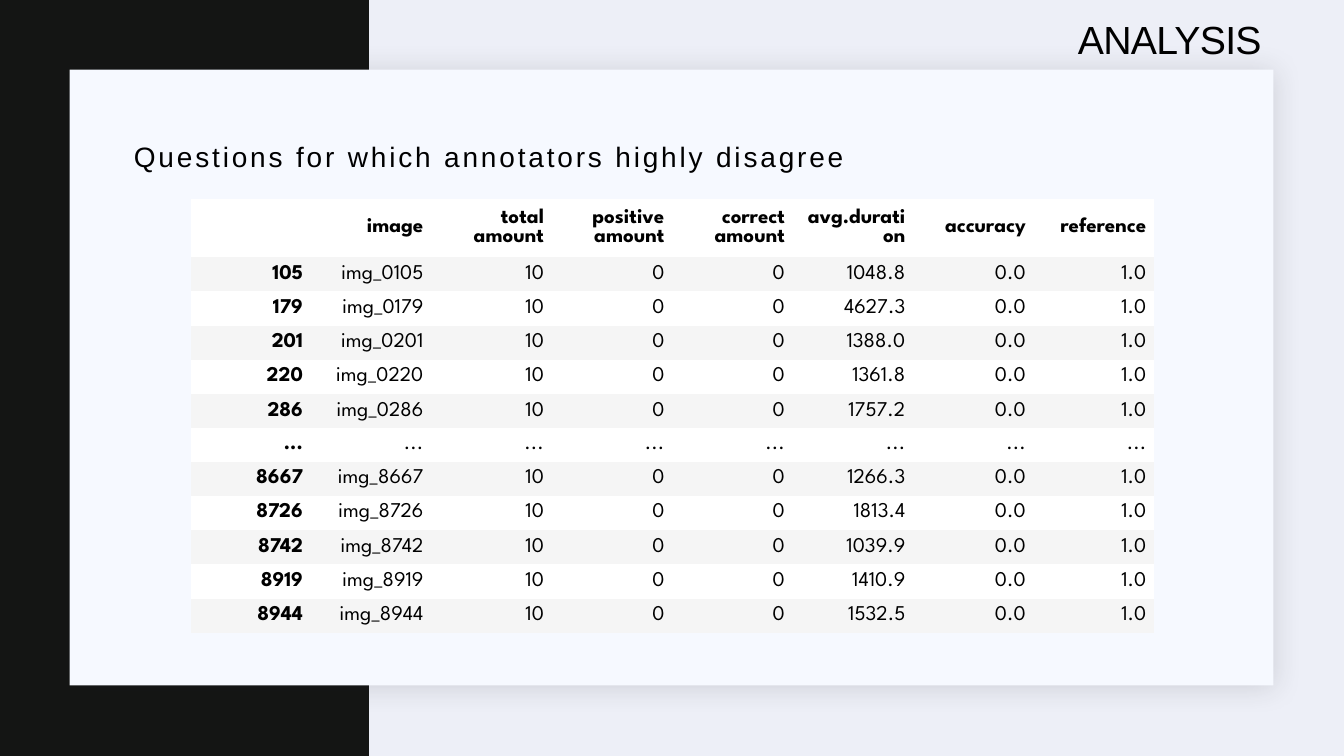
"""Build the analysis slide with its table of disputed questions."""
from typing import Any, NamedTuple

from lxml import etree
from pptx import Presentation
from pptx.dml.color import RGBColor
from pptx.enum.shapes import MSO_SHAPE
from pptx.enum.text import MSO_ANCHOR, PP_ALIGN
from pptx.oxml.ns import qn
from pptx.util import Inches, Pt

RECT = MSO_SHAPE.RECTANGLE
TOP, MIDDLE = MSO_ANCHOR.TOP, MSO_ANCHOR.MIDDLE
LEFT, RIGHT = PP_ALIGN.LEFT, PP_ALIGN.RIGHT
BLACK = RGBColor(0x00, 0x00, 0x00)
WHITE = RGBColor(0xFF, 0xFF, 0xFF)
GREY = RGBColor(0xF5, 0xF5, 0xF5)
DARK = RGBColor(0x14, 0x15, 0x14)
PANEL = RGBColor(0xF6, 0xF9, 0xFF)
BACK = RGBColor(0xED, 0xEF, 0xF7)
SHADE = RGBColor(0x1F, 0x21, 0x25)
NO_GRID = "{2D5ABB26-0587-4C30-8999-92F81FD0307C}"
DOTS = "..."


class Box(NamedTuple):
    left: float
    top: float
    width: float
    height: float

    def place(self) -> tuple:
        return tuple(Inches(side) for side in self)


class Label(NamedTuple):
    box: Box
    text: str
    size: int
    track: int
    anchor: Any
    format: dict


class Entry(NamedTuple):
    number: int
    time: str

    def cells(self) -> list[str]:
        return [str(self.number), f"img_{self.number:04}", "10", "0", "0",
                self.time, "0.0", "1.0"]


BLOCKS = [(Box(0, 0, 3.66, 7.5), DARK), (Box(0.69, 0.69, 11.94, 6.11), PANEL)]
LABELS = [
    Label(Box(1.23, 1.33, 9.56, 0.41),
          "Questions for which annotators highly disagree", 20, 200, TOP,
          {"alignment": LEFT, "space_before": Pt(12), "space_after": Pt(2)}),
    Label(Box(1.61, 0.09, 11, 0.64), "ANALYSIS", 28, -50, MIDDLE,
          {"alignment": RIGHT, "line_spacing": 0.9}),
]
HEADS = ["", "image", "total amount", "positive amount", "correct amount",
         "avg.duration", "accuracy", "reference"]
FIRST = [Entry(105, "1048.8"), Entry(179, "4627.3"), Entry(201, "1388.0"),
         Entry(220, "1361.8"), Entry(286, "1757.2")]
LAST = [Entry(8667, "1266.3"), Entry(8726, "1813.4"), Entry(8742, "1039.9"),
        Entry(8919, "1410.9"), Entry(8944, "1532.5")]
GRID = Box(1.89, 1.97, 9.56, 4.27)
CELL = {"vertical_anchor": MIDDLE,
        "margin_left": Inches(0.08), "margin_right": Inches(0.08),
        "margin_top": Inches(0.04), "margin_bottom": Inches(0.04)}


def apply(target: Any, values: dict) -> None:
    for name, value in values.items():
        setattr(target, name, value)


def style(font: Any, name: str, size: int, bold: bool = False) -> None:
    apply(font, {"name": name, "size": Pt(size), "bold": bold})
    font.color.rgb = BLACK


def add_block(slide: Any, box: Box, color: RGBColor) -> Any:
    block = slide.shapes.add_shape(RECT, *box.place())
    block.shadow.inherit = False
    block.fill.solid()
    block.fill.fore_color.rgb = color
    block.line.fill.background()
    return block


def add_shadow(block: Any) -> None:
    effects = block.element.spPr.find(qn("a:effectLst"))
    outer = etree.SubElement(effects, qn("a:outerShdw"), {
        "blurRad": str(Pt(20)), "dist": str(Pt(2)),
        "dir": str(45 * 60000), "algn": "tl", "rotWithShape": "0"})
    tint = etree.SubElement(outer, qn("a:srgbClr"), val=str(SHADE))
    etree.SubElement(tint, qn("a:alpha"), val="15000")


def add_label(slide: Any, label: Label) -> None:
    frame = slide.shapes.add_textbox(*label.box.place()).text_frame
    apply(frame, {"word_wrap": True, "vertical_anchor": label.anchor})
    para = frame.paragraphs[0]
    apply(para, label.format)
    run = para.add_run()
    run.text = label.text
    style(run.font, "Arial", label.size)
    para.runs[0].font
    for props in frame.paragraphs[0]._p.iter(qn("a:rPr")):
        props.set("spc", str(label.track))


def add_grid(slide: Any, rows: list[list[str]]) -> None:
    frame = slide.shapes.add_table(len(rows), len(HEADS), *GRID.place())
    table = frame.table
    apply(table, {"first_row": False, "horz_banding": False})
    frame.element.find(".//" + qn("a:tableStyleId")).text = NO_GRID
    for r, texts in enumerate(rows):
        height = 0.54 if r == 0 else 0.31 if texts[0] == DOTS else 0.34
        table.rows[r].height = Inches(height)
        for c, text in enumerate(texts):
            cell = table.cell(r, c)
            apply(cell, CELL)
            cell.fill.solid()
            cell.fill.fore_color.rgb = GREY if r % 2 else WHITE
            para = cell.text_frame.paragraphs[0]
            para.alignment = RIGHT
            if text:
                run = para.add_run()
                run.text = text
                style(run.font, "League Spartan", 15, r == 0 or c == 0)


def main() -> None:
    deck = Presentation()
    apply(deck, {"slide_width": Inches(13.33), "slide_height": Inches(7.5)})
    slide = deck.slides.add_slide(deck.slide_layouts[6])
    slide.background.fill.solid()
    slide.background.fill.fore_color.rgb = BACK
    blocks = [add_block(slide, box, color) for box, color in BLOCKS]
    add_shadow(blocks[-1])
    for label in LABELS:
        add_label(slide, label)
    add_grid(slide, [HEADS, *(entry.cells() for entry in FIRST),
                     [DOTS] * len(HEADS), *(entry.cells() for entry in LAST)])
    deck.save("out.pptx")


main()
